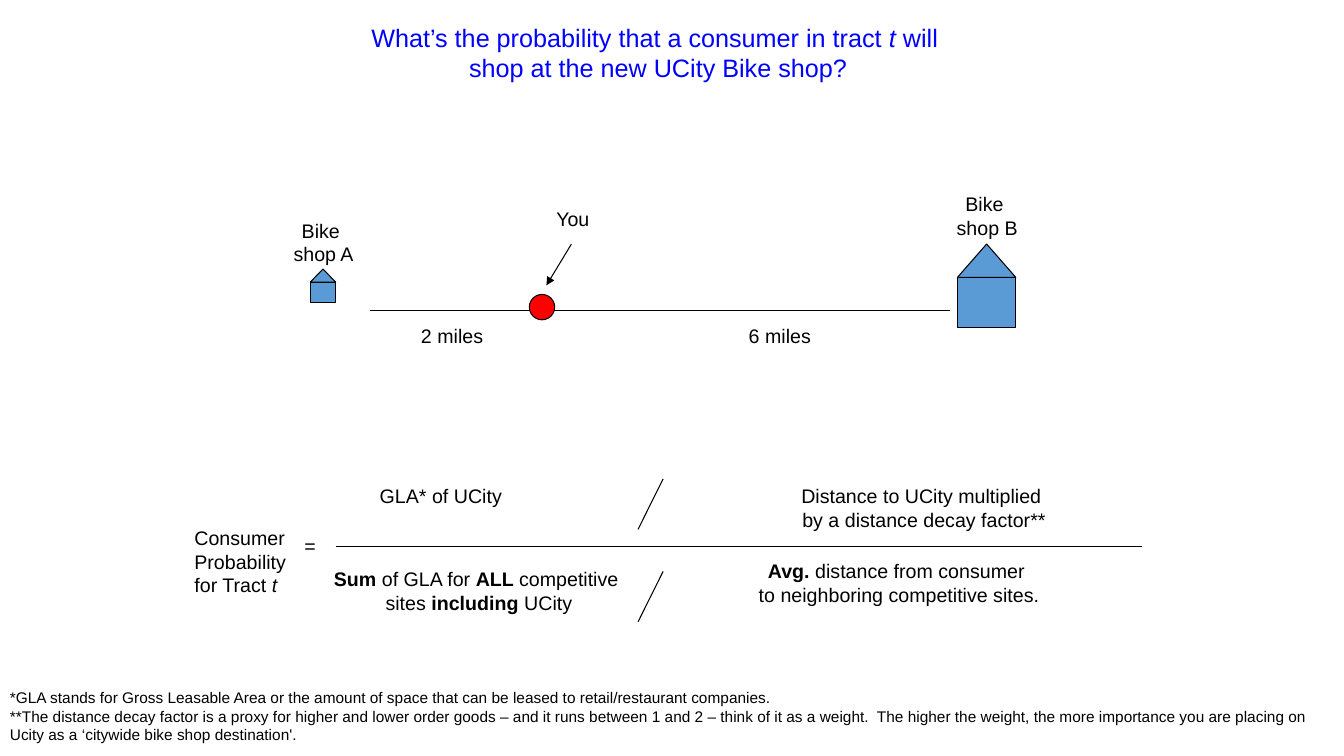
import pptx
import pptx.util
import pptx.dml.color
import pptx.enum.shapes
import pptx.enum.text
import pptx.oxml
import pptx.oxml.ns

Cm, Pt = pptx.util.Cm, pptx.util.Pt
SHAPE = pptx.enum.shapes.MSO_SHAPE
ALIGN = pptx.enum.text.PP_ALIGN
BLACK, BLUE, RED, HOUSE = "000000", "0000FF", "FF0000", "5B9BD5"

# Content: each paragraph is a list of (text, style); "b" is bold, "i" is italic
TITLE = [
    [("What’s the probability that a consumer in tract ", ""), ("t", "i"), (" will ", "")],
    [("shop at the new UCity Bike shop?", "")],
]
# Text boxes: left, top, width, height in cm, alignment, size, wrap, paragraphs
TEXTS = [
    (7.14, 5.38, 2.03, 1.45, "c", 14, False, [[("Bike ", "")], [("shop A", "")]]),
    (23.85, 4.72, 2.06, 1.45, "c", 14, False, [[("Bike ", "")], [("shop B", "")]]),
    (13.77, 5.08, 1.4, 0.84, "l", 14, False, [[("You", "")]]),
    (10.36, 8.05, 2.08, 0.84, "l", 14, False, [[("2 miles", "")]]),
    (18.62, 8.05, 2.08, 0.84, "l", 14, False, [[("6 miles", "")]]),
    (4.65, 13.13, 2.84, 2.06, "l", 14, False, [
        [("Consumer", "")], [("Probability", "")], [("for Tract ", ""), ("t", "i")]]),
    (7.42, 13.34, 0.79, 0.84, "l", 14, False, [[("=", "")]]),
    (9.32, 12.07, 3.76, 0.86, "l", 14, False, [[("GLA* of UCity", "")]]),
    (16.94, 12.07, 12.7, 1.45, "c", 14, True, [
        [("Distance to UCity multiplied ", "")], [("by a distance decay factor**", "")]]),
    (5.72, 14.17, 12.7, 1.45, "c", 14, True, [
        [("Sum", "b"), (" of GLA for ", ""), ("ALL ", "b"), ("competitive ", "")],
        [("sites ", ""), ("including ", "b"), ("UCity", "")]]),
    (16.31, 13.97, 12.7, 1.45, "c", 14, True, [
        [("Avg.", "b"), (" distance from consumer ", "")],
        [("to neighboring competitive sites.", "")]]),
    (0, 17.22, 33.48, 1.68, "l", 11, False, [
        [("*GLA stands for Gross Leasable Area or the amount of space that can be leased "
          "to retail/restaurant companies.", "")],
        [("**The distance decay factor is a proxy for higher and lower order goods – and it "
          "runs between 1 and 2 – think of it as a weight.  The higher the weight, the more "
          "importance you are placing on", "")],
        [("Ucity as a ‘citywide bike shop destination'.", "")]]),
]
# Lines: x1, y1, x2, y2 in cm, arrowhead at the end
LINES = [
    (9.32, 7.82, 23.93, 7.82, False),    # road between the shops
    (14.4, 6.15, 13.77, 7.19, True),     # pointer to the consumer
    (8.46, 13.77, 28.78, 13.77, False),  # fraction bar
    (16.71, 12.07, 16.08, 13.34, False),
    (16.71, 14.4, 16.08, 15.67, False),
]
# Houses: left, top, width, roof height, wall height in cm
HOUSES = [(7.82, 6.78, 0.64, 0.33, 0.51), (24.13, 6.15, 1.47, 0.84, 1.27)]
CONSUMER = (13.34, 7.42, 0.64, 0.64)


def rgb(value):
    return pptx.dml.color.RGBColor.from_string(value)


def write(sp, paragraphs, size, color, align, wrap):
    tf = sp.text_frame
    tf.word_wrap = wrap
    tf.auto_size = pptx.enum.text.MSO_AUTO_SIZE.NONE
    tf.vertical_anchor = pptx.enum.text.MSO_ANCHOR.TOP
    for i, runs in enumerate(paragraphs):
        p = tf.paragraphs[0] if i == 0 else tf.add_paragraph()
        p.alignment = ALIGN.CENTER if align == "c" else ALIGN.LEFT
        for text, style in runs:
            r = p.add_run()
            r.text = text
            r.font.name, r.font.size = "Arial", Pt(size)
            r.font.bold, r.font.italic = style == "b", style == "i"
            r.font.color.rgb = rgb(color)


def add_shape(shapes, kind, box, fill):
    sp = shapes.add_shape(kind, *map(Cm, box))
    sp.shadow.inherit = False
    sp.fill.solid()
    sp.fill.fore_color.rgb = rgb(fill)
    sp.line.color.rgb = rgb(BLACK)
    sp.line.width = Pt(0.75)


def add_line(shapes, x1, y1, x2, y2, arrow):
    line = shapes.add_connector(pptx.enum.shapes.MSO_CONNECTOR.STRAIGHT,
                                Cm(x1), Cm(y1), Cm(x2), Cm(y2))
    line.line.color.rgb = rgb(BLACK)
    line.line.width = Pt(0.75)
    qn = pptx.oxml.ns.qn
    if arrow:
        ln = line.line._get_or_add_ln()
        ln.append(ln.makeelement(qn("a:tailEnd"), {"type": "triangle"}))
    sp_pr = line._element.spPr
    sp_pr.append(sp_pr.makeelement(qn("a:effectLst"), {}))


prs = pptx.Presentation()
prs.slide_width, prs.slide_height = Cm(33.87), Cm(19.05)
slide = prs.slides.add_slide(prs.slide_layouts[5])
shapes = slide.shapes

# Title
title = shapes.title
title.left, title.top, title.width, title.height = map(Cm, (9.09, 0.43, 14.99, 1.78))
write(title, TITLE, 18, BLUE, "c", False)

# Lines, then the houses and the consumer on top of them
for line in LINES:
    add_line(shapes, *line)
for x, y, w, roof, wall in HOUSES:
    house = shapes.add_group_shape().shapes
    add_shape(house, SHAPE.RECTANGLE, (x, y + roof, w, wall), HOUSE)
    add_shape(house, SHAPE.ISOSCELES_TRIANGLE, (x, y, w, roof), HOUSE)
add_shape(shapes, SHAPE.OVAL, CONSUMER, RED)

# Labels, formula and footnotes
for x, y, w, h, align, size, wrap, paragraphs in TEXTS:
    sp = shapes.add_textbox(Cm(x), Cm(y), Cm(w), Cm(h))
    write(sp, paragraphs, size, BLACK, align, wrap)

prs.save("out.pptx")
